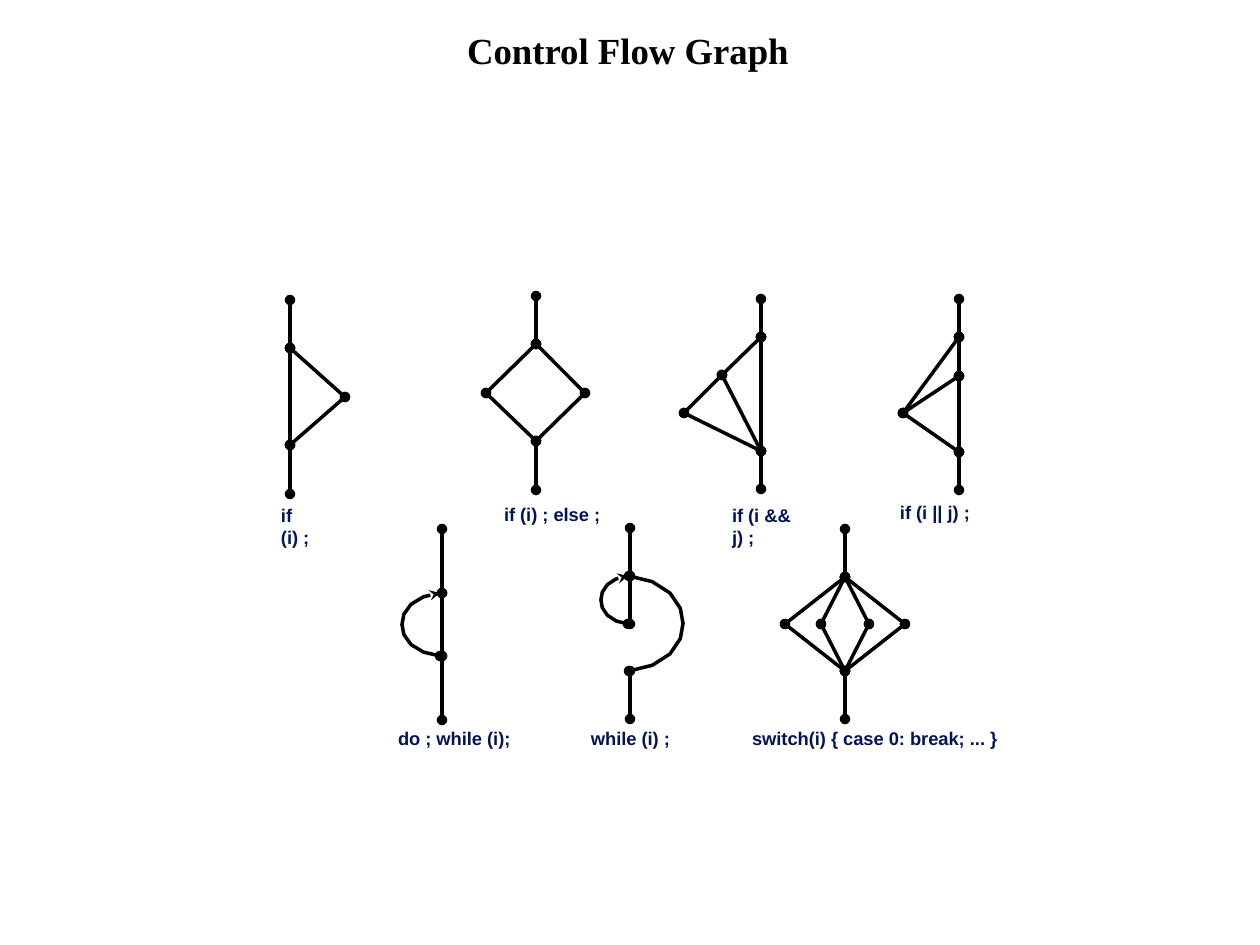
from dataclasses import dataclass

from lxml.etree import SubElement
from pptx import Presentation
from pptx.dml.color import RGBColor
from pptx.enum.shapes import MSO_CONNECTOR
from pptx.enum.text import MSO_ANCHOR, MSO_AUTO_SIZE, PP_ALIGN
from pptx.oxml.ns import qn
from pptx.util import Inches, Pt

PX_PER_INCH = 126


@dataclass(frozen=True)
class Theme:
    ink: RGBColor = RGBColor(0x00, 0x00, 0x00)
    label: RGBColor = RGBColor(0x00, 0x14, 0x5A)
    title_font: str = "Times New Roman"
    label_font: str = "Arial"
    title_size: float = 21
    label_size: float = 10.5
    stroke: float = 2


THEME = Theme()


@dataclass(frozen=True)
class Graph:
    caption: str
    caption_box: tuple   # left, top, width
    nodes: dict          # letter -> point
    chains: tuple        # each chain of letters is a run of edges
    arcs: tuple = ()     # start, end, sideways bulge, head at start


# Half of an arc: share of the bulge, share of the height
ARC_HALF = ((0, 0), (0.43, 0.06), (0.76, 0.18), (0.95, 0.34), (1, 0.5))
ARC = ARC_HALF + tuple((x, 1 - y) for x, y in reversed(ARC_HALF[:-1]))


def stem(x, **heights):
    """Nodes that stand on one vertical line."""
    return {letter: (x, y) for letter, y in heights.items()}


GRAPHS = (
    Graph("if (i) ;", (271, 499, 64),
          {**stem(290, A=300, B=348, D=445, E=494), "C": (345, 397)},
          ("ABCDE", "BD")),
    Graph("if (i) ; else ;", (494, 498, 117),
          {**stem(536, A=296, B=344, E=441, F=490),
           "C": (585, 393), "D": (486, 393)},
          ("ABCEF", "BDE")),
    Graph("if (i && j) ;", (722, 499, 106),
          {**stem(761, A=299, B=337, E=451, F=489),
           "C": (722, 375), "D": (684, 413)},
          ("ABCDEF", "CE", "BE")),
    Graph("if (i || j) ;", (890, 496, 91),
          {**stem(959, A=299, B=337, C=376, E=452, F=490), "D": (903, 413)},
          ("ABCDEF", "BD", "CE")),
    Graph("do ; while (i);", (388, 722, 134),
          stem(442, A=529, B=593, C=656, D=720),
          ("ABCD",),
          (((440, 593), (440, 656), -38, "stealth"),)),
    Graph("while (i) ;", (581, 722, 100),
          stem(630, A=528, B=576, C=624, D=671, E=719),
          ("ABC", "DE"),
          (((628, 576), (628, 624), -27, "stealth"),
           ((629, 671), (629, 576), 54, "oval"))),
    Graph("switch(i) { case 0: break; ... }", (742, 722, 268),
          {**stem(845, A=529, B=577, G=671, H=719), "C": (785, 624),
           "D": (821, 624), "E": (869, 624), "F": (905, 624)},
          ("ABCGH", "BDG", "BEG", "BFG")),
)


def px(length):
    return round(length * Inches(1) / PX_PER_INCH)


def style_line(shape, head="oval"):
    shape.line.color.rgb = THEME.ink
    shape.line.width = Pt(THEME.stroke)
    outline = shape.line._get_or_add_ln()
    SubElement(outline, qn("a:headEnd"), type=head)
    SubElement(outline, qn("a:tailEnd"), type="oval")


def add_edge(group, start, end):
    edge = group.shapes.add_connector(
        MSO_CONNECTOR.STRAIGHT, *map(px, start), *map(px, end))
    style_line(edge)
    SubElement(edge._element.spPr, qn("a:effectLst"))


def add_arc(group, start, end, bulge, head):
    (x, top), (_, bottom) = start, end
    points = [(px(x + bulge * across), px(top + (bottom - top) * down))
              for across, down in ARC]
    builder = group.shapes.build_freeform(*points[0])
    builder.add_line_segments(points[1:], close=False)
    arc = builder.convert_to_shape()
    arc.fill.background()
    style_line(arc, head)
    arc.shadow.inherit = False


def format_runs(para, font, size, color):
    for span in para.runs:
        span.font.name = font
        span.font.size = Pt(size)
        span.font.bold = True
        span.font.color.rgb = color


def add_caption(page, text, left, top, width):
    box = page.shapes.add_textbox(px(left), px(top), px(width), px(32))
    frame = box.text_frame
    frame.text = text
    frame.word_wrap = False
    frame.auto_size = MSO_AUTO_SIZE.SHAPE_TO_FIT_TEXT
    frame.margin_left = frame.margin_right = px(10)
    frame.margin_top = frame.margin_bottom = px(5)
    format_runs(frame.paragraphs[0], THEME.label_font, THEME.label_size,
                THEME.label)


def add_graph(page, graph):
    group = page.shapes.add_group_shape()
    for chain in graph.chains:
        for start, end in zip(chain, chain[1:]):
            add_edge(group, graph.nodes[start], graph.nodes[end])
    for arc in graph.arcs:
        add_arc(group, *arc)
    add_caption(page, graph.caption, *graph.caption_box)


def set_title(page, text):
    title = page.shapes.title
    title.left, title.top = px(24), px(19)
    title.width, title.height = px(1208), px(67)
    frame = title.text_frame
    frame.text = text
    frame.auto_size = MSO_AUTO_SIZE.NONE
    frame.vertical_anchor = MSO_ANCHOR.MIDDLE
    para = frame.paragraphs[0]
    para.alignment = PP_ALIGN.CENTER
    para.line_spacing = 0.9
    format_runs(para, THEME.title_font, THEME.title_size, THEME.ink)


def main():
    deck = Presentation()
    deck.slide_width, deck.slide_height = Inches(10), Inches(7.5)
    page = deck.slides.add_slide(deck.slide_layouts[5])  # title only
    set_title(page, "Control Flow Graph")
    for graph in GRAPHS:
        add_graph(page, graph)
    deck.save("out.pptx")


if __name__ == "__main__":
    main()
